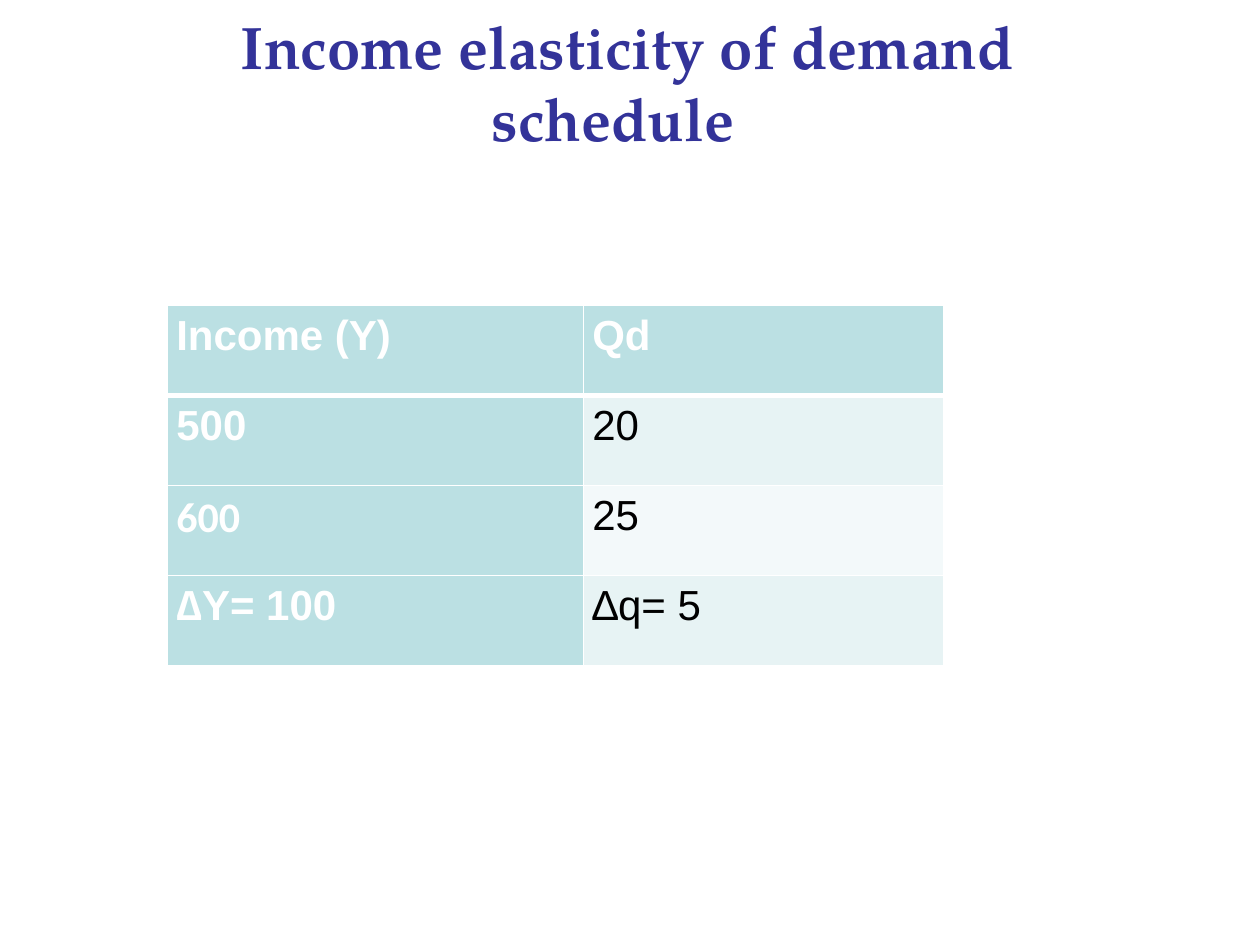
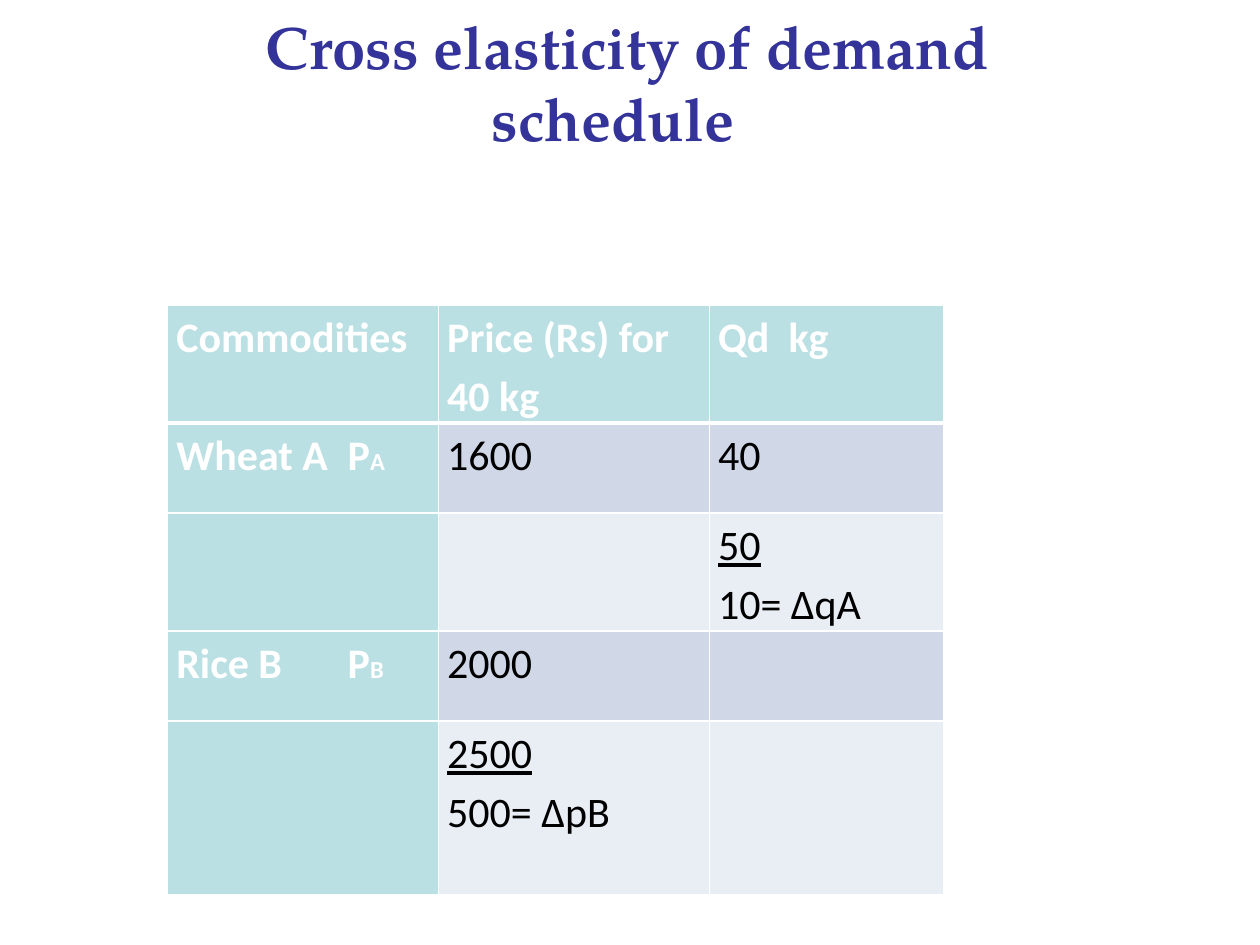
from dataclasses import dataclass, field

from lxml.etree import SubElement
from pptx import Presentation
from pptx.dml.color import RGBColor
from pptx.enum.text import MSO_ANCHOR, MSO_AUTO_SIZE, PP_ALIGN
from pptx.oxml.ns import qn
from pptx.util import Emu, Inches, Pt


@dataclass(frozen=True)
class Theme:
    title_font: str = "TeX Gyre Pagella"
    title_size: float = 34.2
    title_color: str = "333399"
    cell_size: int = 24
    subscript_size: int = 14
    line_spacing: float = 1.15
    header_fill: str = "BBE0E3"
    header_text: str = "FFFFFF"
    body_text: str = "000000"
    border: str = "FFFFFF"
    thin_border: int = 1
    thick_border: int = 3


@dataclass(frozen=True)
class Box:
    left: int
    top: int
    width: int
    height: int


@dataclass(frozen=True)
class Schedule:
    title: tuple
    font: str
    bands: tuple
    columns: tuple  # shares of the table width
    rows: tuple  # shares of the slide height
    cells: tuple
    cell_fonts: dict = field(default_factory=dict)
    tab_stops: dict = field(default_factory=dict)  # inches, by column


THEME = Theme()

INCOME = Schedule(
    title=("Income elasticity of demand", "schedule"),
    font="Arial",
    bands=("E7F3F4", "F3F9FA"),
    columns=(0.536, 0.464),
    rows=(0.0953,) * 4,
    cells=(
        ("Income (Y)", "Qd"),
        ("500", "20"),
        ("600", "25"),
        ("∆Y= 100", "∆q= 5"),
    ),
    cell_fonts={(2, 0): "Calibri"},
)

# A pair is a label and its small index; a line break starts a new paragraph
CROSS = Schedule(
    title=("Cross elasticity of demand", "schedule"),
    font="Calibri",
    bands=("D0D8E8", "E9EDF4"),
    columns=(0.349, 0.349, 0.302),
    rows=(0.1227, 0.0953, 0.1227, 0.0953, 0.184),
    cells=(
        ("Commodities", "Price (Rs) for 40 kg", "Qd\tkg"),
        (("Wheat A\tP", "A"), "1600", "40"),
        ("", "", "50\n10= ∆qA"),
        (("Rice B\tP", "B"), "2000", ""),
        ("", "2500\n500= ∆pB", ""),
    ),
    tab_stops={0: 1.36, 2: 0.56},
)


def color(value):
    return RGBColor.from_string(value)


def share_box(presentation, left, top, width, height):
    """Turn shares of the slide into a box."""
    slide_width, slide_height = presentation.slide_width, presentation.slide_height
    return Box(Emu(int(left * slide_width)), Emu(int(top * slide_height)),
               Emu(int(width * slide_width)), Emu(int(height * slide_height)))


def style_font(font, name, size, text_color, bold):
    font.name = name
    font.size = Pt(size)
    font.bold = bold
    font.color.rgb = color(text_color)


def place_title(slide, box, lines):
    title = slide.shapes.title
    title.left, title.top, title.width, title.height = box.left, box.top, box.width, box.height
    frame = title.text_frame
    frame.auto_size = MSO_AUTO_SIZE.NONE
    frame.vertical_anchor = MSO_ANCHOR.MIDDLE
    frame.text = "\n".join(lines)
    for paragraph in frame.paragraphs:
        paragraph.alignment = PP_ALIGN.CENTER
        style_font(paragraph.font, THEME.title_font, THEME.title_size, THEME.title_color, True)
    # The last line sits slightly left of centre
    frame.paragraphs[-1]._p.get_or_add_pPr().set("marR", str(Inches(0.23)))


def set_borders(cell, row):
    properties = cell._tc.get_or_add_tcPr()
    thick_side = {0: "lnB", 1: "lnT"}.get(row)
    for side in ("lnL", "lnR", "lnT", "lnB"):
        width = THEME.thick_border if side == thick_side else THEME.thin_border
        line = SubElement(properties, qn(f"a:{side}"), w=str(Pt(width)))
        fill = SubElement(line, qn("a:solidFill"))
        SubElement(fill, qn("a:srgbClr"), val=THEME.border)


def write_cell(cell, content, font_name, is_header, tab_stop):
    label, index = content if isinstance(content, tuple) else (content, "")
    frame = cell.text_frame
    lines = label.split("\n")
    for number, line in enumerate(lines):
        paragraph = frame.paragraphs[0] if number == 0 else frame.add_paragraph()
        paragraph.line_spacing = THEME.line_spacing
        if "\t" in line:
            tabs = SubElement(paragraph._p.get_or_add_pPr(), qn("a:tabLst"))
            SubElement(tabs, qn("a:tab"), pos=str(Inches(tab_stop)), algn="l")
        style_font(paragraph.font, font_name, THEME.cell_size,
                   THEME.header_text if is_header else THEME.body_text, is_header)
        # The upper figure of a difference is underlined
        if number < len(lines) - 1:
            paragraph.font.underline = True
        paragraph.add_run().text = line
    if index:
        run = paragraph.add_run()
        run.text = index
        run.font.size = Pt(THEME.subscript_size)


def place_table(slide, box, schedule, row_heights):
    table = slide.shapes.add_table(len(schedule.rows), len(schedule.columns),
                                   box.left, box.top, box.width, box.height).table
    table.first_col = True
    table.horz_banding = False
    for column, share in zip(table.columns, schedule.columns):
        column.width = Emu(int(box.width * share))
    for row, height in zip(table.rows, row_heights):
        row.height = height
    for row, contents in enumerate(schedule.cells):
        for column, content in enumerate(contents):
            cell = table.cell(row, column)
            is_header = row == 0 or column == 0
            cell.margin_left = cell.margin_right = Inches(0.07)
            cell.margin_top = cell.margin_bottom = 0
            set_borders(cell, row)
            cell.fill.solid()
            cell.fill.fore_color.rgb = color(
                THEME.header_fill if is_header else schedule.bands[(row - 1) % 2])
            if content:
                write_cell(cell, content, schedule.cell_fonts.get((row, column), schedule.font),
                           is_header, schedule.tab_stops.get(column))


def add_schedule_slide(presentation, schedule):
    slide = presentation.slides.add_slide(presentation.slide_layouts[5])
    # Title band
    place_title(slide, share_box(presentation, 0.038, 0.037, 0.92, 0.099), schedule.title)
    # Schedule table
    row_heights = [Emu(int(share * presentation.slide_height)) for share in schedule.rows]
    box = share_box(presentation, 0.133, 0.323, 0.616, sum(schedule.rows))
    place_table(slide, box, schedule, row_heights)


def main():
    presentation = Presentation()
    presentation.slide_width, presentation.slide_height = Inches(10), Inches(7.5)
    for schedule in (INCOME, CROSS):
        add_schedule_slide(presentation, schedule)
    presentation.save("out.pptx")


if __name__ == "__main__":
    main()
